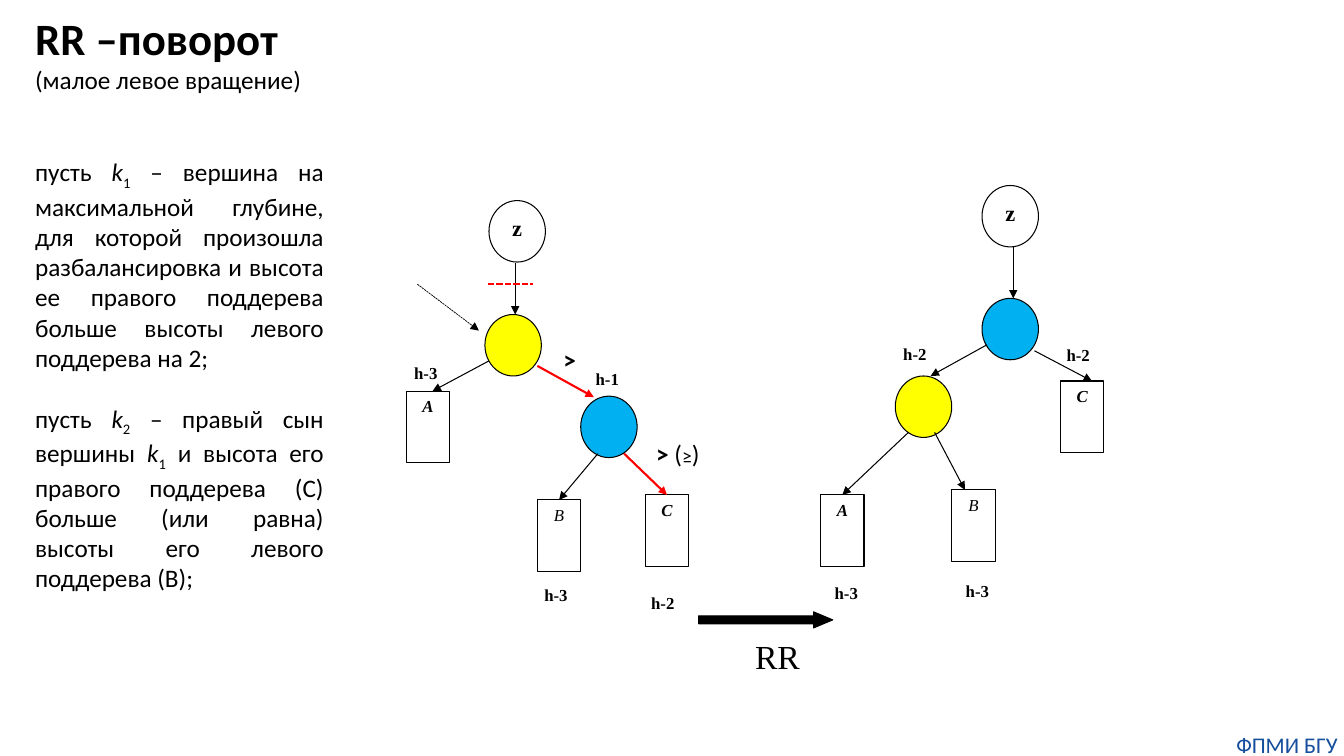
from lxml.etree import SubElement
from pptx import Presentation
from pptx.dml.color import RGBColor
from pptx.enum.dml import MSO_LINE
from pptx.enum.shapes import MSO_CONNECTOR as LINE, MSO_SHAPE as SHAPE
from pptx.enum.text import MSO_ANCHOR as ANCHOR, MSO_AUTO_SIZE as AUTO, PP_ALIGN as ALIGN
from pptx.oxml.ns import qn
from pptx.util import Inches, Pt

BLACK, WHITE, RED = "000000", "FFFFFF", "FF0000"
YELLOW, BLUE, NAVY = "FFFF00", "00B0F0", "144E9D"
SANS, SERIF = "Calibri", "Times New Roman"
CELL = 0.1
NODE = (5.6, 6.1)
LEAF = (4.3, 7.1)


def rgb(value):
    """Turn a hex string into a colour."""
    return RGBColor.from_string(value)


class TreeSlide:
    """Draws on one slide in grid columns and rows of a tenth of an inch."""

    def __init__(self, prs):
        """Add a blank slide."""
        self.shapes = prs.slides.add_slide(prs.slide_layouts[6]).shapes

    def grid(self, *cells):
        """Convert grid cells to lengths."""
        return [Inches(c * CELL) for c in cells]

    def fill_text(self, p, runs, size, font, color=BLACK, align=ALIGN.LEFT):
        """Fill a paragraph with (text, style) runs; b, i and s mean bold, italic, subscript."""
        p.alignment = align
        for text, style, *own in runs:
            r = p.add_run()
            r.text = text
            f = r.font
            f.name, f.size, f.color.rgb = font, Pt(own[0] if own else size), rgb(color)
            f.bold, f.italic = "b" in style, "i" in style
            if "s" in style:
                r._r.get_or_add_rPr().set("baseline", "-25000")

    def shape(self, kind, x, y, w, h, fill=WHITE, line=BLACK):
        """Draw a preset shape."""
        sp = self.shapes.add_shape(kind, *self.grid(x, y, w, h))
        sp.shadow.inherit = False
        if fill:
            sp.fill.solid()
            sp.fill.fore_color.rgb = rgb(fill)
        else:
            sp.fill.background()
        if line:
            sp.line.color.rgb = rgb(line)
            sp.line.width = Pt(0.75)
        else:
            sp.line.fill.background()
        sp.text_frame.vertical_anchor = ANCHOR.TOP
        return sp

    def label(self, text, x, y, w, h, size=12, style="b"):
        """Draw a borderless white caption."""
        sp = self.shape(SHAPE.RECTANGLE, x, y, w, h, line=None)
        self.fill_text(sp.text_frame.paragraphs[0], [(text, style)], size, SERIF)

    def node(self, x, y, fill=WHITE, text=""):
        """Draw a tree vertex."""
        sp = self.shape(SHAPE.OVAL, x, y, *NODE, fill)
        if text:
            self.fill_text(sp.text_frame.paragraphs[0], [(text, "b")], 16, SERIF, align=ALIGN.CENTER)

    def leaf(self, text, x, y, style="bi", fill=WHITE):
        """Draw a subtree box."""
        sp = self.shape(SHAPE.RECTANGLE, x, y, *LEAF, fill)
        self.fill_text(sp.text_frame.paragraphs[0], [(text, style)], 12, SERIF, align=ALIGN.CENTER)
        return sp

    def edge(self, x1, y1, x2, y2, color=BLACK, width=0.75, dash=False, arrow=True, leaf=None):
        """Draw a line, joined to the top of a leaf when one is given."""
        c = self.shapes.add_connector(LINE.STRAIGHT, *self.grid(x1, y1, x2, y2))
        if leaf is not None:
            c.end_connect(leaf, 0)
        c.line.color.rgb = rgb(color)
        c.line.width = Pt(width)
        if dash:
            c.line.dash_style = MSO_LINE.SQUARE_DOT
        if arrow:
            SubElement(c._element.spPr.get_or_add_ln(), qn("a:tailEnd"), type="triangle")
        SubElement(c._element.spPr, qn("a:effectLst"))

    def textbox(self, x, y, w, h, wrap=True, inset=True):
        """Add a text box and return its frame."""
        tf = self.shapes.add_textbox(*self.grid(x, y, w, h)).text_frame
        tf.word_wrap = wrap
        tf.auto_size = AUTO.SHAPE_TO_FIT_TEXT
        if not inset:
            tf.margin_left = tf.margin_right = tf.margin_top = tf.margin_bottom = 0
        return tf


def draw_captions(s):
    """Place the subtree heights and the rotation name."""
    s.label("RR", 73.9, 62.6, 10.5, 4.5, 24, "")
    for text, x, y in [
        ("h-3", 40.1, 35.5), ("h-1", 58.1, 36.1), ("h-2", 104.8, 33.7), ("h-2", 88.6, 33.6),
        ("h-3", 81.8, 57.3), ("h-3", 94.8, 57.1), ("h-2", 63.6, 58.3), ("h-3", 53, 57.5),
    ]:
        s.label(text, x, y, 5.6, 3)


def draw_before(s):
    """Draw the unbalanced tree."""
    s.node(48.5, 19.9, text="z")
    s.node(48.1, 31.2, YELLOW)
    s.node(57.6, 39.3, BLUE)
    s.leaf("A", 40.3, 38.8)
    b = s.leaf("B", 53.3, 49.6, "i", None)
    c = s.leaf("C", 64, 49.1)
    s.edge(51.1, 26.1, 51.1, 31.2)
    s.edge(48.5, 35.8, 42.9, 38.8)
    s.edge(53.3, 36.3, 58.9, 39.4, RED, 1.5)
    s.edge(59.3, 45, 55.4, 49.6, leaf=b)
    s.edge(61.9, 45, 66.2, 49.1, RED, 1.5, leaf=c)
    s.edge(48.4, 28.2, 52.9, 28.2, RED, 1.5, dash=True, arrow=False)
    s.edge(41.4, 28.2, 47.5, 32.8, width=0.5, dash=True)
    tf = s.textbox(54.9, 33.7, 3.3, 4, wrap=False)
    s.fill_text(tf.paragraphs[0], [(">", "b")], 18, SANS)
    tf = s.textbox(64.1, 43, 6.4, 4, wrap=False)
    s.fill_text(tf.paragraphs[0], [(">", "b"), (" (", ""), ("≥", "", 14), (")", "")], 18, SANS)


def draw_after(s):
    """Draw the rotated tree."""
    s.node(97.4, 18.4, text="z")
    s.node(97.4, 29.6, BLUE)
    s.node(88.8, 37.3, YELLOW)
    s.leaf("C", 105.2, 37.8)
    a = s.leaf("A", 81.4, 49.1)
    s.leaf("B", 94.4, 48.6, "i", None)
    s.edge(100.5, 24.5, 100.5, 29.6)
    s.edge(97.9, 34.2, 92.3, 37.3)
    s.edge(102.6, 34.8, 108.3, 37.8)
    s.edge(90.1, 42.9, 83.6, 49.1, leaf=a)
    s.edge(92.7, 42.9, 95.7, 48.6)


def draw_text(s):
    """Set the heading, the conditions and the footer."""
    tf = s.textbox(122, 72.5, 11.3, 2.7, inset=False)
    s.fill_text(tf.paragraphs[0], [("ФПМИ БГУ", "")], 16, SANS, NAVY, ALIGN.CENTER)
    tf = s.textbox(2.5, 0.6, 30.6, 57.9)
    k1 = [("пусть ", ""), ("k", "i"), ("1", "s"),
          (" – вершина на максимальной глубине, для которой произошла разбалансировка "
           "и высота ее правого поддерева больше высоты левого поддерева на 2;", "")]
    k2 = [("пусть ", ""), ("k", "i"), ("2", "s"), (" – правый сын вершины ", ""),
          ("k", "i"), ("1", "s"),
          (" и высота его правого поддерева (С) больше (или равна) "
           "высоты его левого поддерева (В);", "")]
    for n, (runs, size, before, align) in enumerate([
        ([("RR –поворот", "b")], 32, 0, ALIGN.LEFT),
        ([("(малое левое вращение)", "")], 18, 0, ALIGN.LEFT),
        (k1, 18, 44, ALIGN.JUSTIFY),
        (k2, 18, 22, ALIGN.JUSTIFY),
    ]):
        p = tf.add_paragraph() if n else tf.paragraphs[0]
        if before:
            p.space_before = Pt(before)
        s.fill_text(p, runs, size, SANS, align=align)


def main():
    """Build and save the slide."""
    prs = Presentation()
    prs.slide_width, prs.slide_height = Inches(13.33), Inches(7.5)
    s = TreeSlide(prs)
    draw_captions(s)
    draw_after(s)
    draw_before(s)
    draw_text(s)
    arrow = s.shape(SHAPE.RIGHT_ARROW, 69.3, 60.7, 13.3, 1.6, BLACK)
    arrow.adjustments[0], arrow.adjustments[1] = 0.5, 1.19
    prs.save("out.pptx")


if __name__ == "__main__":
    main()
